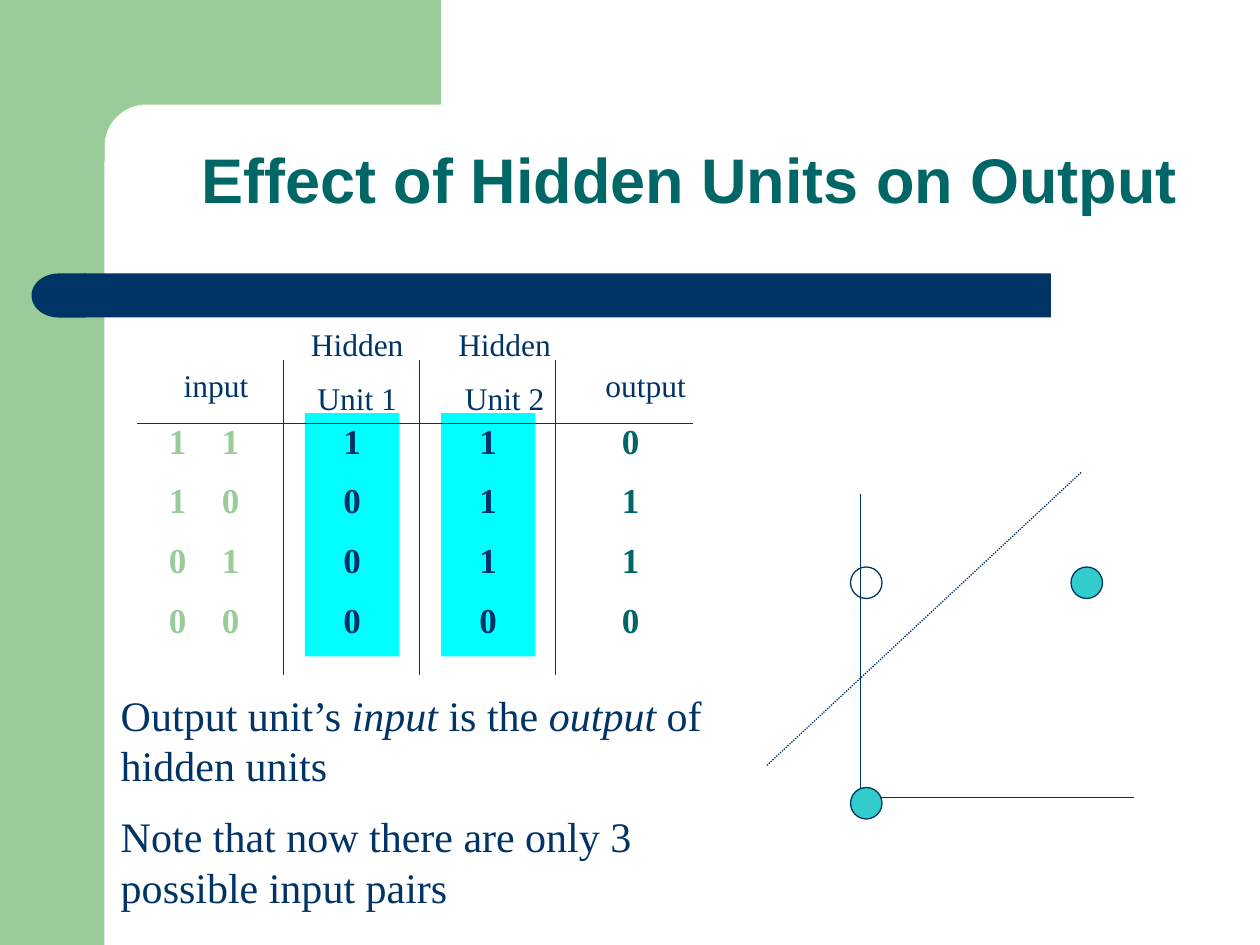
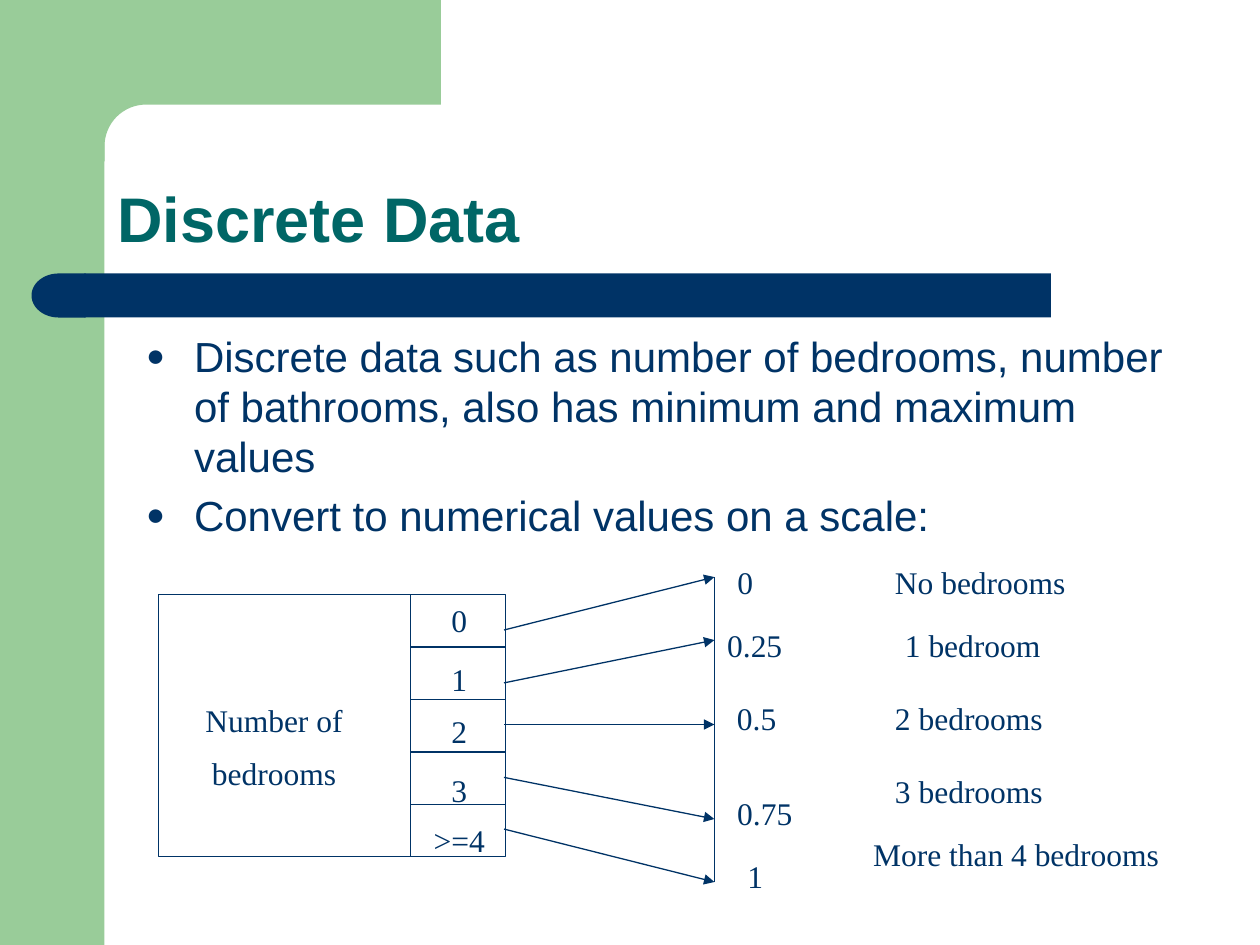
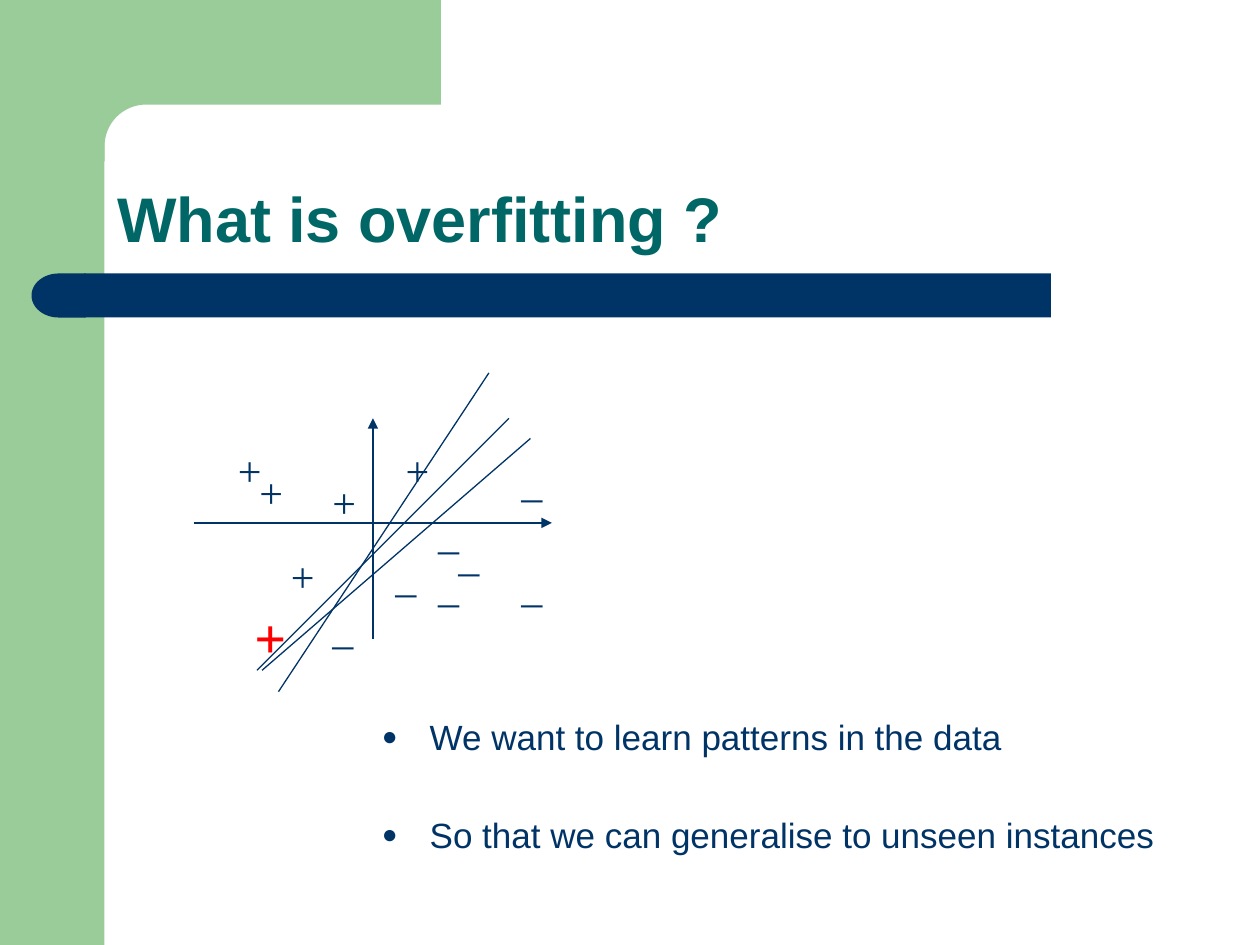
from dataclasses import dataclass
from math import cos, pi, sin

from lxml.etree import SubElement
from pptx import Presentation
from pptx.dml.color import RGBColor
from pptx.enum.dml import MSO_LINE
from pptx.enum.shapes import MSO_CONNECTOR, MSO_SHAPE as Preset
from pptx.enum.text import MSO_ANCHOR as Anchor, MSO_AUTO_SIZE, PP_ALIGN as Align
from pptx.oxml.ns import qn
from pptx.util import Inches, Pt


@dataclass(frozen=True)
class Theme:
    """Colours, fonts and type sizes of the deck."""
    navy: str = "003366"
    teal: str = "006666"
    green: str = "99CC99"
    cyan: str = "00FFFF"
    aqua: str = "33CCCC"
    red: str = "FF0000"
    sans: str = "Arial"
    serif: str = "Times New Roman"
    title: int = 36
    alert: int = 32
    large: int = 24
    medium: int = 20
    small: int = 18
    hairline: float = 0.75


@dataclass(frozen=True)
class Box:
    """A rectangle in inches; its contents are placed relative to its corner."""
    left: float
    top: float
    width: float
    height: float

    def inner(self, left, top, width, height):
        """Return a box given relative to this one."""
        return Box(self.left + left, self.top + top, width, height)

    def point(self, x, y):
        """Return the slide position of a point in this box."""
        return Inches(self.left + x), Inches(self.top + y)

    def lengths(self):
        """Return left, top, width and height as lengths."""
        return [Inches(n) for n in (self.left, self.top, self.width, self.height)]


THEME = Theme()


def color(value):
    """Turn a hex string into a colour."""
    return RGBColor.from_string(value)


def write_text(frame, lines, size, ink=THEME.navy, font=THEME.serif, bold=False,
               align=Align.CENTER, gap=0.5, anchor=Anchor.TOP, wrap=True):
    """Fill a frame; words between asterisks are italic, gap is a share of size."""
    frame.auto_size = MSO_AUTO_SIZE.NONE
    frame.word_wrap = wrap
    frame.vertical_anchor = anchor
    for index, line in enumerate(lines):
        para = frame.add_paragraph() if index else frame.paragraphs[0]
        para.alignment = align
        para.space_before = Pt(size * gap) if index else Pt(0)
        for number, piece in enumerate(line.split("*")):
            span = para.add_run()
            span.text = piece
            span.font.name = font
            span.font.size = Pt(size)
            span.font.bold = bold
            span.font.italic = number % 2 == 1
            span.font.color.rgb = color(ink)


def add_text(page, box, lines, size=THEME.small, **style):
    """Add a text box and return its frame."""
    frame = page.shapes.add_textbox(*box.lengths()).text_frame
    write_text(frame, lines, size, **style)
    return frame


def add_label(page, box, *lines):
    """Add a small unwrapped label, centred in its box."""
    add_text(page, box, lines, anchor=Anchor.MIDDLE, wrap=False)


def paint(shape, fill=None, outline=None):
    """Set fill and outline, and remove the shadow."""
    shape.shadow.inherit = False
    if fill:
        shape.fill.solid()
        shape.fill.fore_color.rgb = color(fill)
    else:
        shape.fill.background()
    if outline:
        shape.line.color.rgb = color(outline)
        shape.line.width = Pt(THEME.hairline)
    else:
        shape.line.fill.background()


def add_shape(page, preset, box, fill=None, outline=None):
    """Add a painted preset shape."""
    shape = page.shapes.add_shape(preset, *box.lengths())
    paint(shape, fill, outline)
    return shape


def add_line(page, box, start, end, arrow=False, dotted=False):
    """Draw a thin line between two points of a box."""
    line = page.shapes.add_connector(
        MSO_CONNECTOR.STRAIGHT, *box.point(*start), *box.point(*end))
    line.line.color.rgb = color(THEME.navy)
    line.line.width = Pt(THEME.hairline)
    if dotted:
        line.line.dash_style = MSO_LINE.ROUND_DOT
    properties = line.element.spPr
    if arrow:
        SubElement(properties.find(qn("a:ln")), qn("a:tailEnd"), type="triangle")
    SubElement(properties, qn("a:effectLst"))


def add_frame_to_master(deck, page):
    """Draw the green corner and navy band, then move them to the master."""
    side = add_shape(page, Preset.RECTANGLE, Box(0, 0, 0.83, 7.5), THEME.green)
    radius, steps = 0.33, 16
    arc = [(1.16 - radius * sin(pi / 2 * n / steps), 1.16 - radius * cos(pi / 2 * n / steps))
           for n in range(steps + 1)]
    outline = [(3.5, 0), (3.5, 0.83), *arc, (0.83, 1.28), (0.5, 1.28)]
    builder = page.shapes.build_freeform(Inches(0.5), Inches(0))
    builder.add_line_segments([(Inches(x), Inches(y)) for x, y in outline], close=True)
    corner = builder.convert_to_shape()
    paint(corner, THEME.green)
    band = add_shape(page, Preset.RECTANGLE, Box(0.67, 2.17, 7.67, 0.35), THEME.navy)
    cap = add_shape(page, Preset.FLOWCHART_DELAY, Box(0.25, 2.17, 0.43, 0.35), THEME.navy)
    cap.rotation = 180
    tree = deck.slide_master.shapes.element
    for offset, shape in enumerate((side, corner, band, cap)):
        tree.insert(2 + offset, shape.element)


def place(shape, box):
    """Move a placeholder to a box."""
    shape.left, shape.top, shape.width, shape.height = box.lengths()


def add_title(page, text, box=Box(0.83, 0.83, 8.67, 1.25)):
    """Fill the title placeholder."""
    place(page.shapes.title, box)
    frame = page.shapes.title.text_frame
    write_text(frame, [text], THEME.title, THEME.teal, THEME.sans, bold=True,
               align=Align.LEFT, anchor=Anchor.BOTTOM)
    frame.paragraphs[0].line_spacing = 0.9


def add_bullets(page, box, lines, size, gap=0.2):
    """Fill the body placeholder with a bulleted list."""
    body = page.placeholders[1]
    place(body, box)
    write_text(body.text_frame, lines, size, font=THEME.sans, align=Align.LEFT, gap=gap)
    for para in body.text_frame.paragraphs:
        properties = para._p.get_or_add_pPr()
        properties.set("marL", str(Inches(0.38)))
        properties.set("indent", str(-Inches(0.38)))
        tint = SubElement(properties, qn("a:buClr"))
        SubElement(tint, qn("a:srgbClr"), val=THEME.navy)
        SubElement(properties, qn("a:buSzPct"), val="75000")
        SubElement(properties, qn("a:buFont"), typeface=THEME.sans)
        SubElement(properties, qn("a:buChar"), char="●")


def draw_truth_table(page, box):
    """Draw inputs, hidden unit values and outputs with ruled lines."""
    top, height = 0.75, 1.93
    inputs = add_text(page, box.inner(0, top, 1.92, height),
                      ["1\t1", "1\t0", "0\t1", "0\t0"], THEME.medium,
                      ink=THEME.green, bold=True, align=Align.LEFT)
    inputs.margin_left = Inches(0.67)
    for para in inputs.paragraphs:
        stops = SubElement(para._p.get_or_add_pPr(), qn("a:tabLst"))
        SubElement(stops, qn("a:tab"), pos=str(Inches(0.42)), algn="l")

    step = 1.08
    for index, values in enumerate(("1000", "1110")):
        column = add_shape(page, Preset.RECTANGLE,
                           box.inner(1.75 + index * step, top, 0.75, height), THEME.cyan)
        write_text(column.text_frame, values, THEME.medium, bold=True)
    add_text(page, box.inner(3.92, top, 0.83, height), "0110", THEME.medium,
             ink=THEME.teal, bold=True)

    add_line(page, box, (0.42, 0.83), (4.83, 0.83))
    for index in range(3):
        x = 1.58 + index * step
        add_line(page, box, (x, 0.33), (x, 2.83))
    for index in range(2):
        add_text(page, box.inner(1 + index * 1.17, 0, 2.33, 0.85),
                 ["Hidden", f"Unit {index + 1}"])
    add_text(page, box.inner(3.83, 0.33, 1.25, 0.4), ["output"])
    add_text(page, box.inner(0.17, 0.33, 1.75, 0.4), ["input"])


def draw_decision_plot(page, box):
    """Draw the two axes, the three possible pairs and the dotted boundary."""
    origin = (0.75, 2.58)
    add_line(page, box, (0.75, 0.17), origin)
    add_line(page, box, origin, (2.92, 2.58))
    for x, y, fill in ((0.67, 0.75, None), (0.67, 2.5, THEME.aqua), (2.42, 0.75, THEME.aqua)):
        add_shape(page, Preset.OVAL, box.inner(x, y, 0.25, 0.25), fill, THEME.navy)
    add_line(page, box, (2.5, 0), (0, 2.33), dotted=True)


def draw_bedroom_box(page, box):
    """Draw the named field with its five possible counts."""
    cell = box.height / 5
    labels = (("0", 0), ("1", 0.47), ("2", 0.88), ("3", 1.35), (">=4", 1.75))
    for index in range(5):
        add_shape(page, Preset.RECTANGLE, box.inner(2, index * cell, 0.75, cell),
                  outline=THEME.navy)
    add_shape(page, Preset.RECTANGLE, box.inner(0, 0, 2, box.height), outline=THEME.navy)
    for text, y in labels:
        add_label(page, box.inner(2.22, y, 0.33, 0.4), text)
    add_label(page, box.inner(0.24, 0.78, 1.35, 0.85), "Number of", "bedrooms")


def draw_scale(page, box):
    """Draw arrows from the counts to a vertical scale with its labels."""
    axis = 1.67
    add_line(page, box, (axis, 0.16), (axis, 2.58))
    for start, end in ((0.58, 0.16), (1, 0.66), (1.33, 1.33), (1.75, 2.08), (2.16, 2.58)):
        add_line(page, box, (0, start), (axis, end), arrow=True)
    values = (("0", 1.75, 0, 0.33), ("0.25", 1.67, 0.5, 0.64), ("0.5", 1.75, 1.08, 0.51),
              ("0.75", 1.75, 1.83, 0.64), ("1", 1.83, 2.33, 0.33))
    meanings = (("No bedrooms", 3, 0, 1.56), ("1 bedroom", 3.08, 0.5, 1.28),
                ("2 bedrooms", 3, 1.08, 1.38), ("3 bedrooms", 3, 1.66, 1.38),
                ("More than 4 bedrooms", 2.83, 2.16, 2.47))
    for text, x, y, width in values + meanings:
        add_label(page, box.inner(x, y, width, 0.4), text)


def draw_overfitting_plot(page, box):
    """Draw axes, plus and minus samples, three separators and an outlier."""
    add_line(page, box, (1.42, 2.11), (1.42, 0.36), arrow=True)
    add_line(page, box, (0, 1.19), (2.84, 1.19), arrow=True)
    pluses = ((0.25, 0.52), (1, 0.77), (0.42, 0.69), (1.58, 0.52), (0.67, 1.36))
    minuses = ((1.84, 1.44), (1.5, 1.36), (2.5, 0.61), (2.5, 1.44),
               (2, 1.19), (1.84, 1.02), (1, 1.77))
    for sign, width, spots in (("+", 0.25, pluses), ("_", 0.33, minuses)):
        for x, y in spots:
            add_text(page, box.inner(x, y, width, 0.5), [sign], THEME.large)
    for start, end in (((0.5, 2.36), (2.5, 0.36)), ((0.54, 2.36), (2.67, 0.52)),
                       ((0.67, 2.53), (2.34, 0))):
        add_line(page, box, start, end)
    add_text(page, box.inner(0.38, 1.77, 0.25, 0.64), ["+"], THEME.alert,
             ink=THEME.red, bold=True)


def build_hidden_units(page):
    """Slide on the effect of the hidden units."""
    add_title(page, "Effect of Hidden Units on Output", Box(1.5, 0.52, 8.5, 1.25))
    draw_decision_plot(page, Box(6.08, 3.75, 2.92, 2.75))
    draw_truth_table(page, Box(0.67, 2.53, 5.08, 2.83))
    add_text(page, Box(0.86, 5.42, 5.28, 1.92),
             ["Output unit’s *input* is the *output* of hidden units",
              "Note that now there are only 3 possible input pairs"],
             THEME.large, align=Align.LEFT)


def build_discrete_data(page):
    """Slide on scaling discrete data."""
    add_title(page, "Discrete Data")
    add_bullets(page, Box(1.06, 2.57, 8.5, 4.5),
                ["Discrete data such as number of bedrooms, number of bathrooms, "
                 "also has minimum and maximum values",
                 "Convert to numerical values on a scale:"], THEME.large)
    draw_bedroom_box(page, Box(1.26, 4.72, 2.75, 2.08))
    draw_scale(page, Box(4, 4.42, 5.3, 2.73))


def build_overfitting(page):
    """Slide on overfitting."""
    add_title(page, "What is overfitting ?")
    draw_overfitting_plot(page, Box(1.54, 2.96, 2.84, 2.53))
    add_bullets(page, Box(2.93, 5.63, 6.5, 1.25),
                ["We want to learn patterns in the data",
                 "So that we can generalise to unseen instances"], THEME.medium, gap=1.6)


def main():
    """Build and save the deck."""
    deck = Presentation()
    deck.slide_width, deck.slide_height = Inches(10), Inches(7.5)
    content, title_only = deck.slide_layouts[1], deck.slide_layouts[5]
    first = deck.slides.add_slide(title_only)
    add_frame_to_master(deck, first)
    build_hidden_units(first)
    build_discrete_data(deck.slides.add_slide(content))
    build_overfitting(deck.slides.add_slide(content))
    deck.save("out.pptx")


main()
